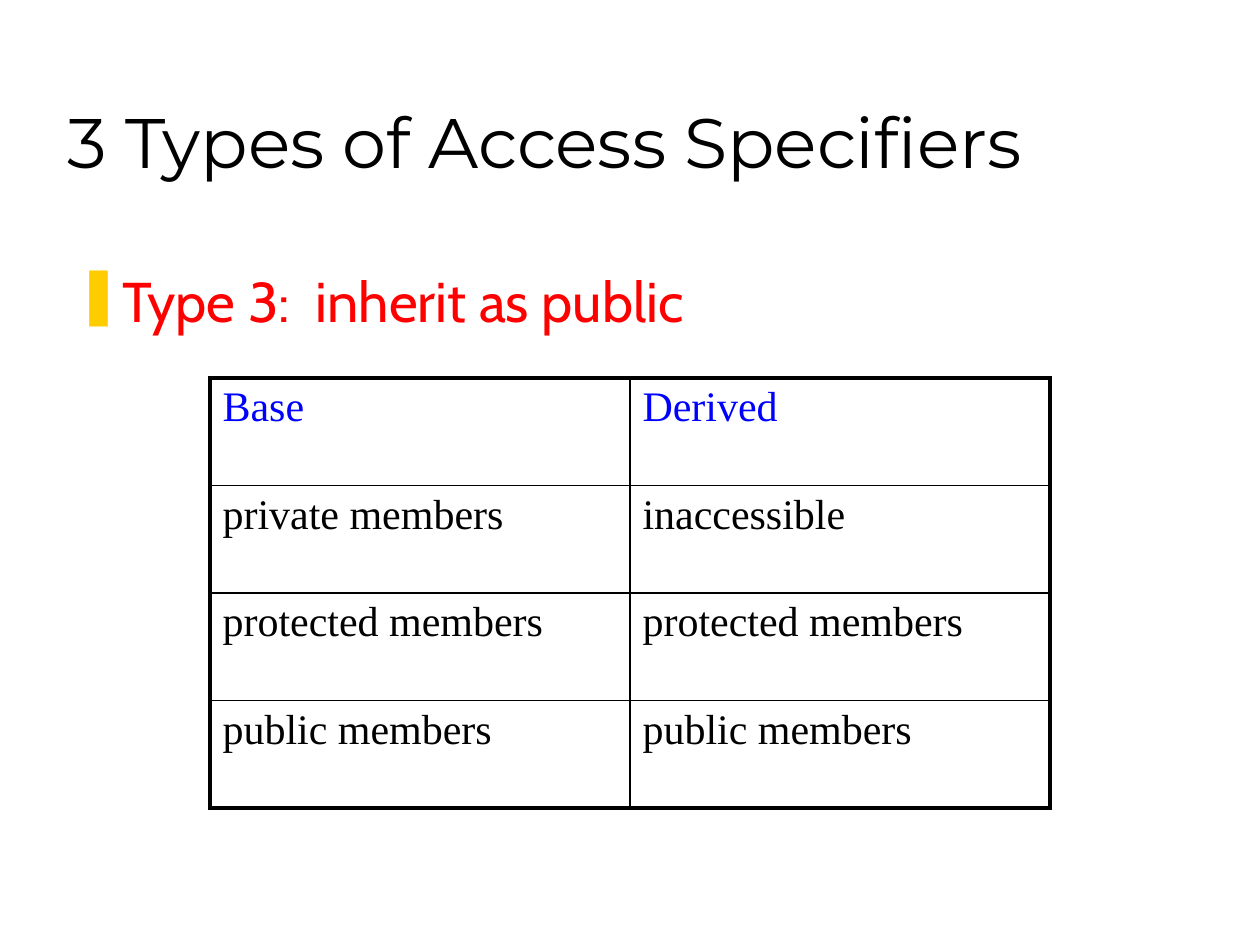
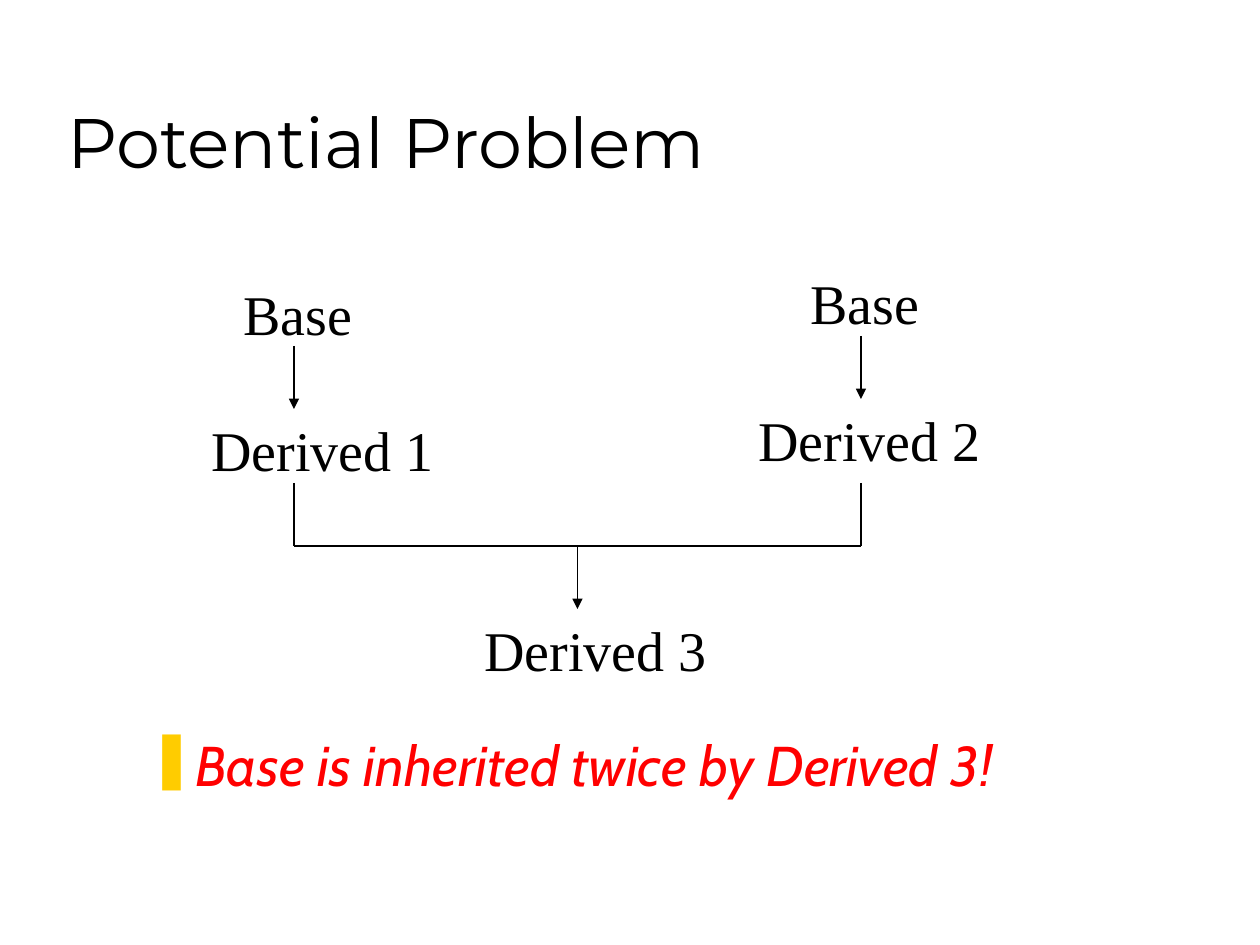
from lxml.etree import SubElement
from pptx import Presentation
from pptx.dml.color import RGBColor
from pptx.enum.shapes import MSO_CONNECTOR
from pptx.enum.text import MSO_ANCHOR, MSO_AUTO_SIZE
from pptx.oxml.ns import qn
from pptx.util import Emu, Pt

SCALE = 914400 / 126  # EMU in one pixel
SLIDE_SIZE = (1260, 945)
COLORS = {"black": "000000", "red": "FF0000", "blue": "0000FF",
          "yellow": "FFCC00", "white": "FFFFFF"}
TITLE_FONT, BODY_FONT, PLAIN_FONT = "Montserrat", "Cabin", "Times New Roman"
TITLE_LEFT, TITLE_TOP, TITLE_HEIGHT = 55, 31, 158
BULLET, BULLET_INDENT = "\u275a", 47
THIN, THICK, ARROW_LINE = 1, 2.25, 0.75

# Slide 1: access table
ACCESS_TITLE = "3 Types of Access Specifiers"
ACCESS_POINT = "Type 3:  inherit as public"
ACCESS_ROWS = [
    ("Base", "Derived"),
    ("private members", "inaccessible"),
    ("protected members", "protected members"),
    ("public members", "public members"),
]
TABLE_BOX = (210, 378, 840, 430)

# Slide 2: inheritance diagram
PROBLEM_TITLE = "Potential Problem"
PROBLEM_POINT = "Base is inherited twice by Derived 3!"
CLASS_LABELS = [  # text, left, top, width
    ("Base", 231, 273, 168),
    ("Base", 798, 262, 168),
    ("Derived 1", 199, 409, 252),
    ("Derived 2", 746, 399, 252),
    ("Derived 3", 472, 609, 252),
]
LABEL_HEIGHT = 79
BRANCHES = [(294, 346), (861, 336)]  # x of a branch, top of its arrow
JOIN_Y, STEP = 546, 63


def px(value):
    """Turn pixels into EMU."""
    return Emu(round(value * SCALE))


def color(name):
    """Look up a named colour."""
    return RGBColor.from_string(COLORS[name])


def write(frame, text, font=PLAIN_FONT, size=32, ink="black", italic=None,
          before=None, bullet=False):
    """Write one formatted paragraph into a text frame."""
    paragraph = frame.paragraphs[0]
    run = paragraph.add_run()
    run.text = text
    run.font.name, run.font.size, run.font.italic = font, Pt(size), italic
    run.font.color.rgb = color(ink)
    if before is not None:
        paragraph.space_before = Pt(before)
    if bullet:
        properties = paragraph._p.get_or_add_pPr()
        properties.set("marL", str(px(BULLET_INDENT)))
        properties.set("indent", str(-px(BULLET_INDENT)))
        bullet_color = SubElement(properties, qn("a:buClr"))
        SubElement(bullet_color, qn("a:srgbClr"), val=COLORS["yellow"])
        SubElement(properties, qn("a:buChar"), char=BULLET)


def add_text(slide, text, box, anchor=MSO_ANCHOR.TOP, grow=False, **style):
    """Add a wrapping text box."""
    shape = slide.shapes.add_textbox(*map(px, box))
    frame = shape.text_frame
    frame.word_wrap = True
    frame.vertical_anchor = anchor
    frame.auto_size = MSO_AUTO_SIZE.SHAPE_TO_FIT_TEXT if grow else MSO_AUTO_SIZE.NONE
    write(frame, text, **style)


def add_slide(presentation, title, title_width):
    """Add a white slide with the shared title style."""
    slide = presentation.slides.add_slide(presentation.slide_layouts[6])
    slide.background.fill.solid()
    slide.background.fill.fore_color.rgb = color("white")
    add_text(slide, title, (TITLE_LEFT, TITLE_TOP, title_width, TITLE_HEIGHT),
             anchor=MSO_ANCHOR.BOTTOM, font=TITLE_FONT, size=40)
    return slide


def add_point(slide, text, box, italic=None):
    """Add a red bulleted statement."""
    add_text(slide, text, box, font=BODY_FONT, ink="red", italic=italic,
             before=1.8, bullet=True)


def set_borders(cell, widths):
    """Draw black cell borders, given widths by side letter."""
    properties = cell._tc.get_or_add_tcPr()
    for index, (side, width) in enumerate(widths.items()):
        line = SubElement(properties, qn(f"a:ln{side}"), w=str(Pt(width)))
        fill = SubElement(line, qn("a:solidFill"))
        SubElement(fill, qn("a:srgbClr"), val=COLORS["black"])
        properties.insert(index, line)


def add_access_table(slide, rows, box):
    """Add an evenly spaced table with a thick outer frame."""
    row_count, column_count = len(rows), len(rows[0])
    table = slide.shapes.add_table(row_count, column_count, *map(px, box)).table
    table.first_row = table.horz_banding = False
    for column in table.columns:
        column.width = px(box[2] / column_count)
    for r, texts in enumerate(rows):
        table.rows[r].height = px(box[3] / row_count)
        for c, text in enumerate(texts):
            cell = table.cell(r, c)
            cell.fill.background()
            write(cell.text_frame, text, size=24, ink="black" if r else "blue")
            outer = {"L": c == 0, "R": c == column_count - 1,
                     "T": r == 0, "B": r == row_count - 1}
            set_borders(cell, {side: THICK if edge else THIN
                               for side, edge in outer.items()})


def add_line(slide, start, end, arrow=False):
    """Add a thin black line, with an arrowhead at its end if asked."""
    connector = slide.shapes.add_connector(
        MSO_CONNECTOR.STRAIGHT, *map(px, start + end))
    connector.line.color.rgb = color("black")
    connector.line.width = Pt(ARROW_LINE)
    properties = connector._element.spPr
    if arrow:
        SubElement(properties.find(qn("a:ln")), qn("a:tailEnd"), type="triangle")
    SubElement(properties, qn("a:effectLst"))


def build_access(presentation):
    """Build the slide on public inheritance."""
    slide = add_slide(presentation, ACCESS_TITLE, 1173)
    add_point(slide, ACCESS_POINT, (63, 260, 1126, 575))
    add_access_table(slide, ACCESS_ROWS, TABLE_BOX)


def build_problem(presentation):
    """Build the slide on double inheritance."""
    slide = add_slide(presentation, PROBLEM_TITLE, 1071)
    add_point(slide, PROBLEM_POINT, (136, 724, 1071, 95), italic=True)
    for text, left, top, width in CLASS_LABELS:
        add_text(slide, text, (left, top, width, LABEL_HEIGHT), grow=True, before=4.5)
    for x, top in BRANCHES:
        add_line(slide, (x, top), (x, top + STEP), arrow=True)
        add_line(slide, (x, JOIN_Y - STEP), (x, JOIN_Y))
    left, right = (x for x, top in BRANCHES)
    middle = (left + right) / 2
    add_line(slide, (left, JOIN_Y), (right, JOIN_Y))
    add_line(slide, (middle, JOIN_Y), (middle, JOIN_Y + STEP), arrow=True)


presentation = Presentation()
presentation.slide_width, presentation.slide_height = map(px, SLIDE_SIZE)
build_access(presentation)
build_problem(presentation)
presentation.save("out.pptx")
